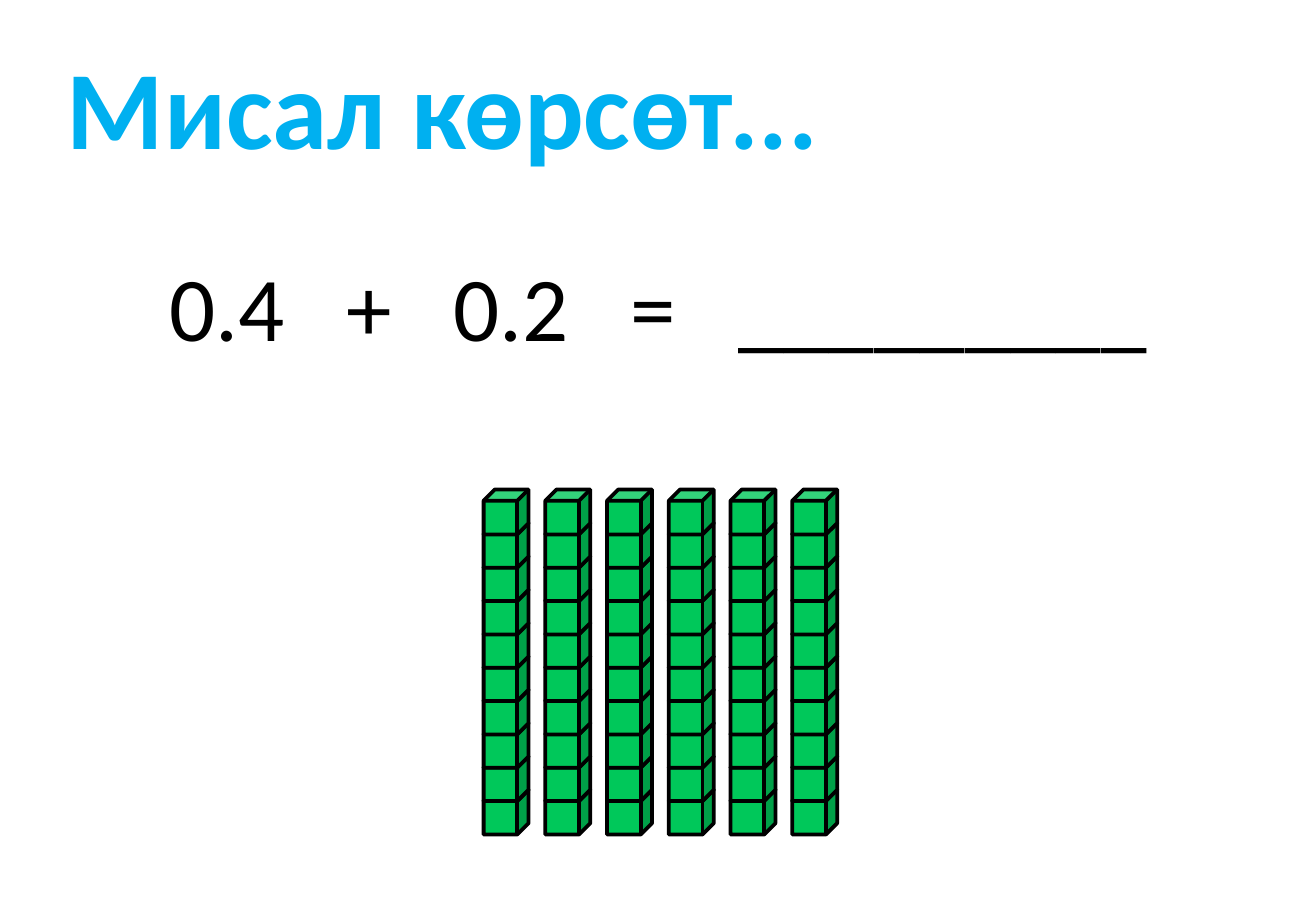
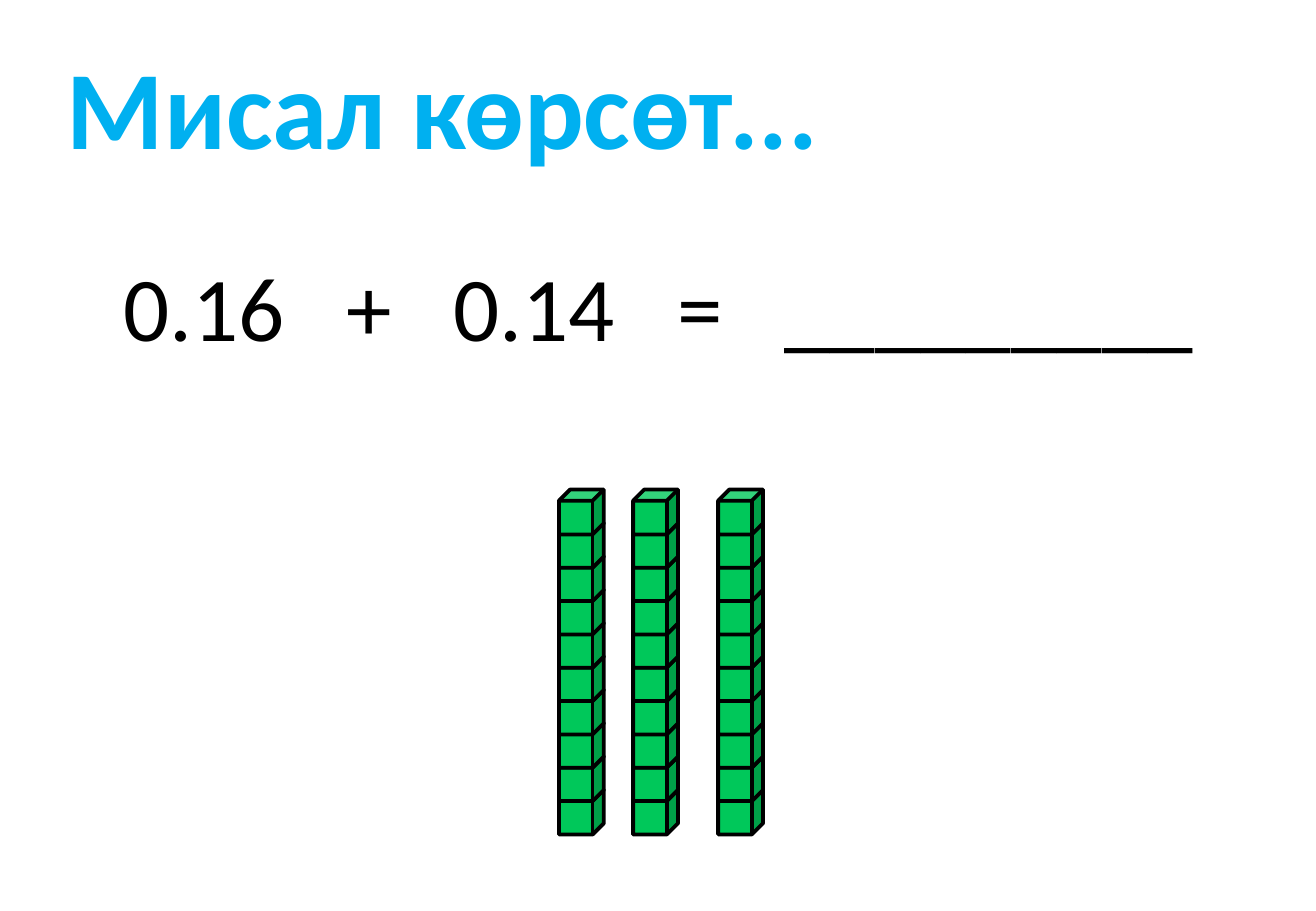
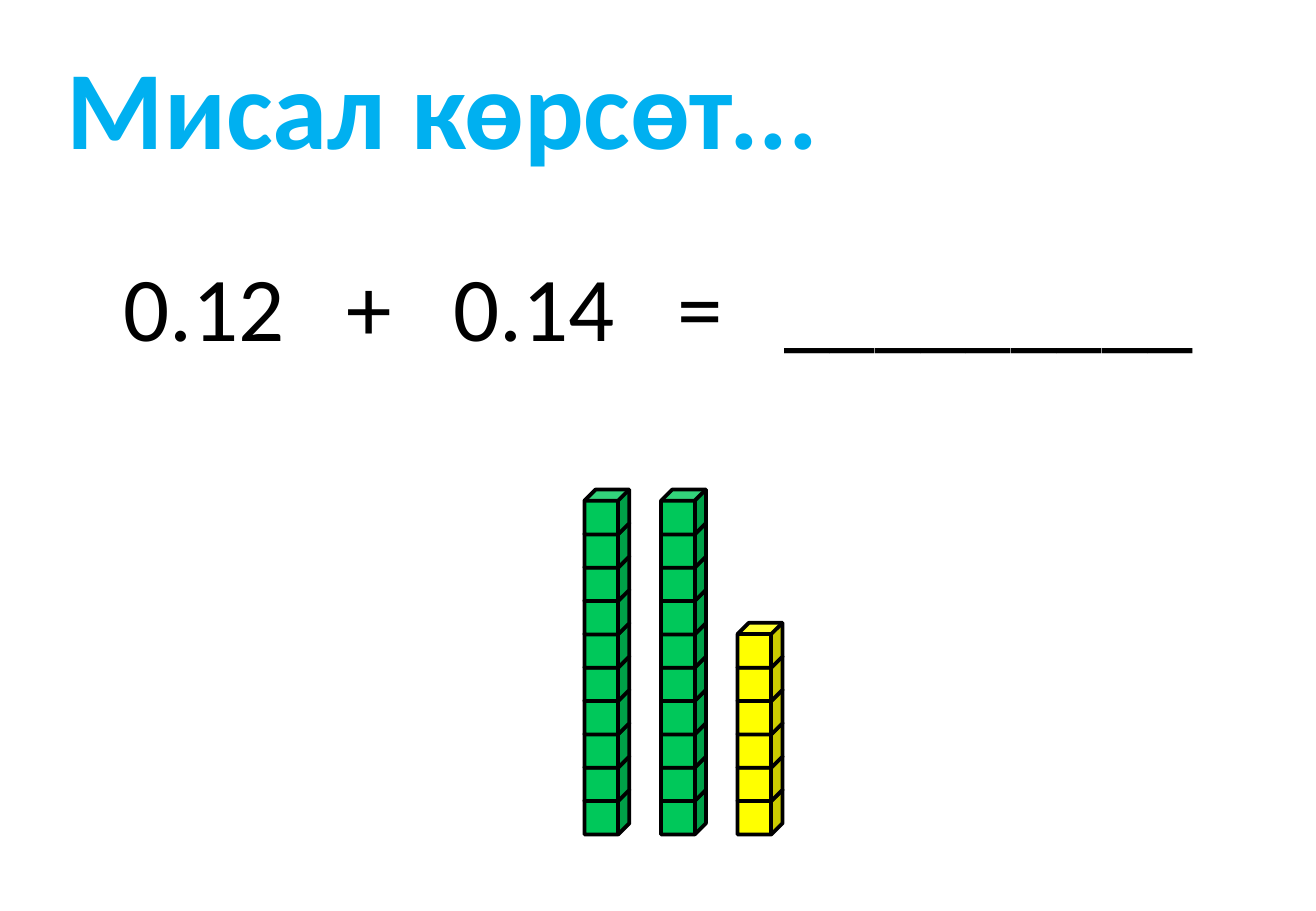
from pptx import Presentation
from pptx.dml.color import RGBColor
from pptx.enum.shapes import MSO_SHAPE
from pptx.enum.text import MSO_ANCHOR, PP_ALIGN
from pptx.util import Inches, Pt

CUBE = MSO_SHAPE.CUBE
TOP = MSO_ANCHOR.TOP
LEFT, CENTER = PP_ALIGN.LEFT, PP_ALIGN.CENTER

COLORS = {"title": "00B0F0", "text": "000000", "line": "000000",
          "green": "00C85A", "yellow": "FFFF00"}
WIDTH, HEIGHT = Inches(10.83), Inches(7.5)
COL, ROW = WIDTH / 100, HEIGHT / 100

TITLE = "Мисал көрсөт..."
TITLE_BOX = (2.22, 3.47, 69.62, 16.13)
SUM_BOX = (5, 26.8, 90, 13.47)
RODS_TOP, RODS_HEIGHT = 53.73, 37.87
CUBE_ROWS = 4.93
CUBES_PER_ROD = 10
TITLE_FONT = {"name": "Calibri", "size": Pt(66), "bold": True}
SUM_FONT = {"name": "Calibri", "size": Pt(54), "bold": False}
GAP_SPACING = "2440"

SLIDES = [
    {"sum": "0.4 + 0.2 = _________", "left": 36.75,
     "rods": [(4.69 * i, 10, "green") for i in range(6)]},
    {"sum": "0.16 + 0.14 = _________", "left": 42.47,
     "rods": [(0, 10, "green"), (5.64, 10, "green"), (12.1, 10, "green")]},
    {"sum": "0.12 + 0.14 = _________", "left": 44.41,
     "rods": [(0, 10, "green"), (5.82, 10, "green"), (11.64, 6, "yellow")]},
]


def rgb(key):
    """Return the named colour."""
    return RGBColor.from_string(COLORS[key])


def grid(box):
    """Turn a box in columns and rows into slide lengths."""
    x, y, w, h = box
    return round(x * COL), round(y * ROW), round(w * COL), round(h * ROW)


def style(font, values, color):
    """Set font attributes and colour."""
    for name, value in values.items():
        setattr(font, name, value)
    font.color.rgb = rgb(color)


def add_title(s, box):
    """Place and format the title placeholder."""
    sp = s.shapes.title
    sp.left, sp.top, sp.width, sp.height = grid(box)
    tf = sp.text_frame
    tf.text = TITLE
    tf.vertical_anchor = TOP
    tf.margin_left = Inches(0.31)
    p = tf.paragraphs[0]
    p.alignment = LEFT
    style(p.runs[0].font, TITLE_FONT, "title")


def add_sum(s, box, text):
    """Write a centred sum with widened gaps between its terms."""
    tf = s.shapes.add_textbox(*grid(box)).text_frame
    tf.word_wrap = True
    p = tf.paragraphs[0]
    p.alignment = CENTER
    for i, term in enumerate(text.split()):
        for part in ([" ", term] if i else [term]):
            r = p.add_run()
            r.text = part
            style(r.font, SUM_FONT, "text")
            if part == " ":
                r.font._element.set("spc", GAP_SPACING)


def add_rod(s, left, top, height, count, color):
    """Stack cubes from the bottom of a full rod's height."""
    size = round(CUBE_ROWS * ROW)
    step = (height - size) / (CUBES_PER_ROD - 1)
    rod = s.shapes.add_group_shape()
    for i in range(count):
        y = top + height - size - i * step
        sp = rod.shapes.add_shape(CUBE, left, round(y), size, size)
        sp.shadow.inherit = False
        sp.fill.solid()
        sp.fill.fore_color.rgb = rgb(color)
        sp.line.color.rgb = rgb("line")
        sp.line.width = Pt(2.25)


def add_rods(s, left, rods):
    """Place rods at column offsets from the left of their region."""
    for offset, count, color in rods:
        x, y, _, h = grid((left + offset, RODS_TOP, 0, RODS_HEIGHT))
        add_rod(s, x, y, h, count, color)


def main():
    """Build and save the slides."""
    prs = Presentation()
    prs.slide_width, prs.slide_height = WIDTH, HEIGHT
    for content in SLIDES:
        s = prs.slides.add_slide(prs.slide_layouts[5])
        add_title(s, TITLE_BOX)
        add_sum(s, SUM_BOX, content["sum"])
        add_rods(s, content["left"], content["rods"])
    prs.save("out.pptx")


if __name__ == "__main__":
    main()
